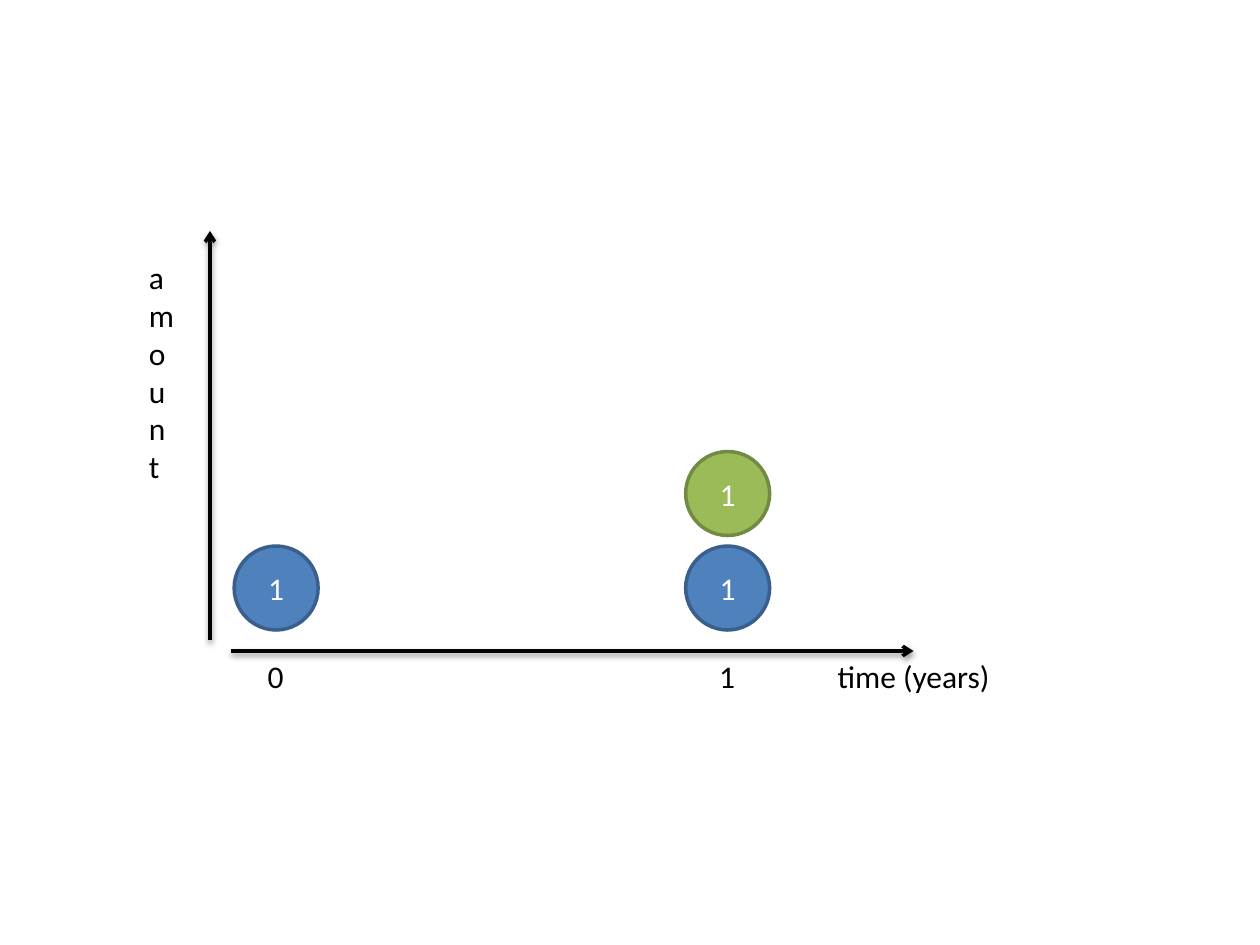
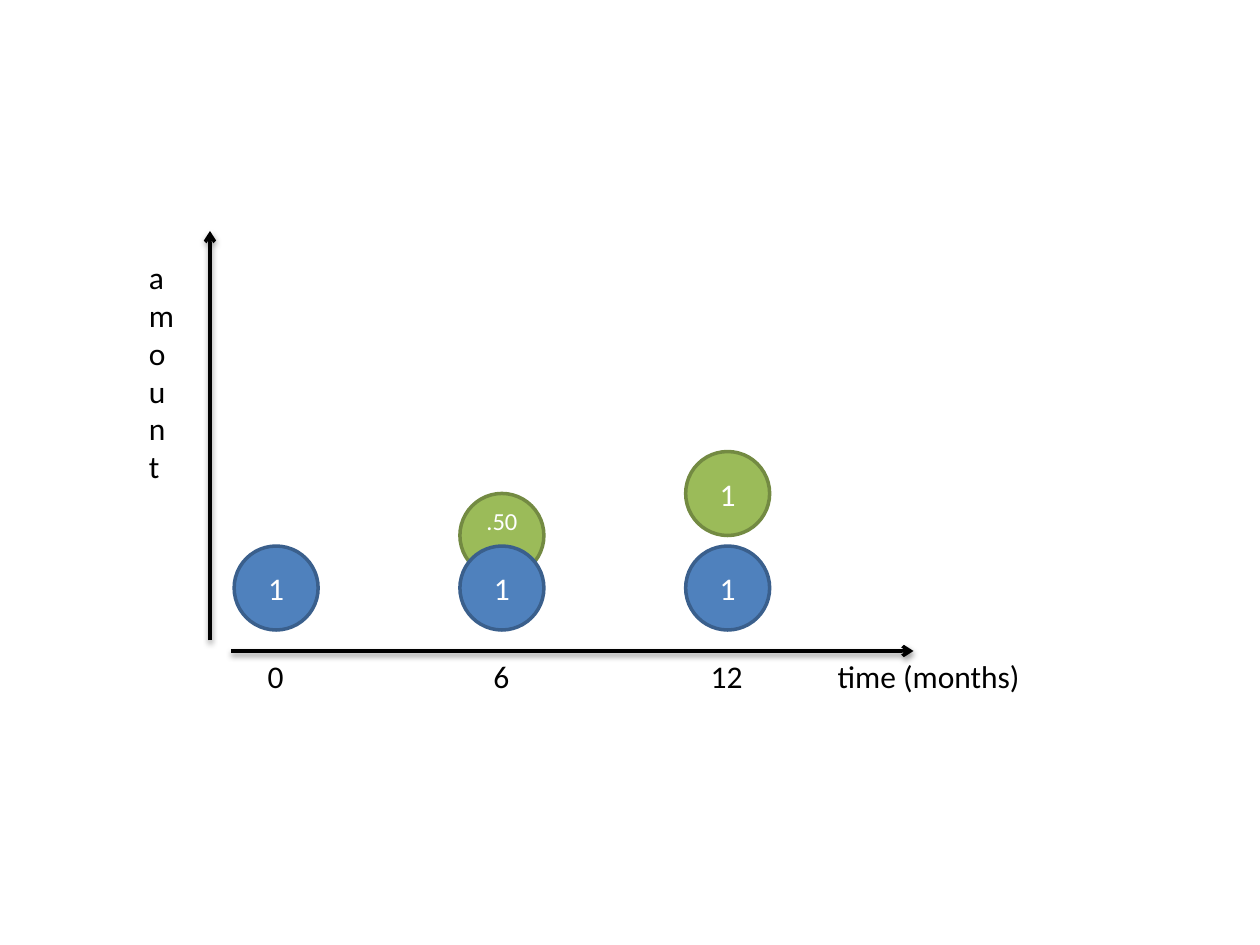
import lxml.etree
import pptx
import pptx.dml.color
import pptx.enum.shapes
import pptx.enum.text
import pptx.oxml
import pptx.oxml.ns
import pptx.util

RGBColor = pptx.dml.color.RGBColor
BLACK = RGBColor(0x00, 0x00, 0x00)
WHITE = RGBColor(0xFF, 0xFF, 0xFF)
BLUE = RGBColor(0x4F, 0x81, 0xBD)
BLUE_EDGE = RGBColor(0x3A, 0x5F, 0x8C)
GREEN = RGBColor(0x9B, 0xBB, 0x59)
GREEN_EDGE = RGBColor(0x73, 0x8A, 0x42)

COLUMNS = 120
COIN = 8
COIN_ROW = 52
STACKED_ROW = 43
HALF_ROW = 47
AXIS_ROW = 62
FIRST_TICK = 26.3
TICK_STEP = 21.5

SHADOW = (
    '<a:effectLst %s><a:outerShdw blurRad="40000" dist="20000" dir="5400000" '
    'rotWithShape="0"><a:srgbClr val="000000"><a:alpha val="38000"/></a:srgbClr>'
    '</a:outerShdw></a:effectLst>' % pptx.oxml.ns.nsdecls("a")
)


class Timeline:
    """Draws coins over a time axis, with lengths in grid units of the slide."""

    font = "Calibri"
    size = 18
    line = pptx.util.Pt(2)

    def __init__(self, prs):
        self.prs = prs
        self.unit = prs.slide_width / COLUMNS
        self.s = None

    def grid(self, *lengths):
        return [round(n * self.unit) for n in lengths]

    def new_slide(self):
        self.s = self.prs.slides.add_slide(self.prs.slide_layouts[6])

    def add_text(self, tf, text, color, size=None):
        p = tf.paragraphs[0]
        r = p.add_run()
        r.text = text
        r.font.name = self.font
        r.font.size = pptx.util.Pt(size or self.size)
        r.font.color.rgb = color
        return p

    def arrow(self, x1, y1, x2, y2):
        c = self.s.shapes.add_connector(
            pptx.enum.shapes.MSO_CONNECTOR.STRAIGHT, *self.grid(x1, y1, x2, y2))
        c.line.color.rgb = BLACK
        c.line.width = self.line
        ln = c.line._get_or_add_ln()
        lxml.etree.SubElement(ln, pptx.oxml.ns.qn("a:tailEnd"), type="arrow")
        c._element.spPr.append(pptx.oxml.parse_xml(SHADOW))

    def label(self, text, x, y, w, h=4.8, vertical=False):
        tf = self.s.shapes.add_textbox(*self.grid(x, y, w, h)).text_frame
        tf.word_wrap = vertical
        tf.auto_size = pptx.enum.text.MSO_AUTO_SIZE.SHAPE_TO_FIT_TEXT
        if vertical:
            tf._txBody.bodyPr.set("vert", "wordArtVert")
        self.add_text(tf, text, BLACK)

    def tick(self, text, center):
        w = 2.4 + 1.6 * len(text)
        self.label(text, center - w / 2, AXIS_ROW, w)

    def coin(self, text, center, row, fill, edge, size=None):
        sp = self.s.shapes.add_shape(
            pptx.enum.shapes.MSO_SHAPE.OVAL,
            *self.grid(center - COIN / 2, row, COIN, COIN))
        sp.shadow.inherit = False
        sp.fill.solid()
        sp.fill.fore_color.rgb = fill
        sp.line.color.rgb = edge
        sp.line.width = self.line
        tf = sp.text_frame
        tf.vertical_anchor = pptx.enum.text.MSO_ANCHOR.MIDDLE
        p = self.add_text(tf, text, WHITE, size)
        p.alignment = pptx.enum.text.PP_ALIGN.CENTER
        return tf

    def axes(self, name, width):
        self.arrow(22, AXIS_ROW, 87, AXIS_ROW)
        self.label(name, 78.6, AXIS_ROW, width)
        self.arrow(20, 61, 20, 22)
        self.label("amount", 13, 24, 6.7, 34, vertical=True)

    def period(self, step, text, interest=None):
        center = FIRST_TICK + step * TICK_STEP
        self.tick(text, center)
        if interest == "1":
            self.coin(interest, center, STACKED_ROW, GREEN, GREEN_EDGE)
        elif interest:
            tf = self.coin(interest, center, HALF_ROW, GREEN, GREEN_EDGE, 14)
            tf.margin_top, tf.margin_bottom = self.grid(0, 2.8)
        self.coin("1", center, COIN_ROW, BLUE, BLUE_EDGE)


SLIDES = [
    ("time (years)", 17, [(0, "0", None), (2, "1", "1")]),
    ("time (months)", 20.4, [(0, "0", None), (2, "12", "1"), (1, "6", ".50")]),
]

prs = pptx.Presentation()
prs.slide_width = pptx.util.Inches(10)
prs.slide_height = pptx.util.Inches(7.5)
timeline = Timeline(prs)
for name, width, periods in SLIDES:
    timeline.new_slide()
    timeline.axes(name, width)
    for step, text, interest in periods:
        timeline.period(step, text, interest)
prs.save("out.pptx")
